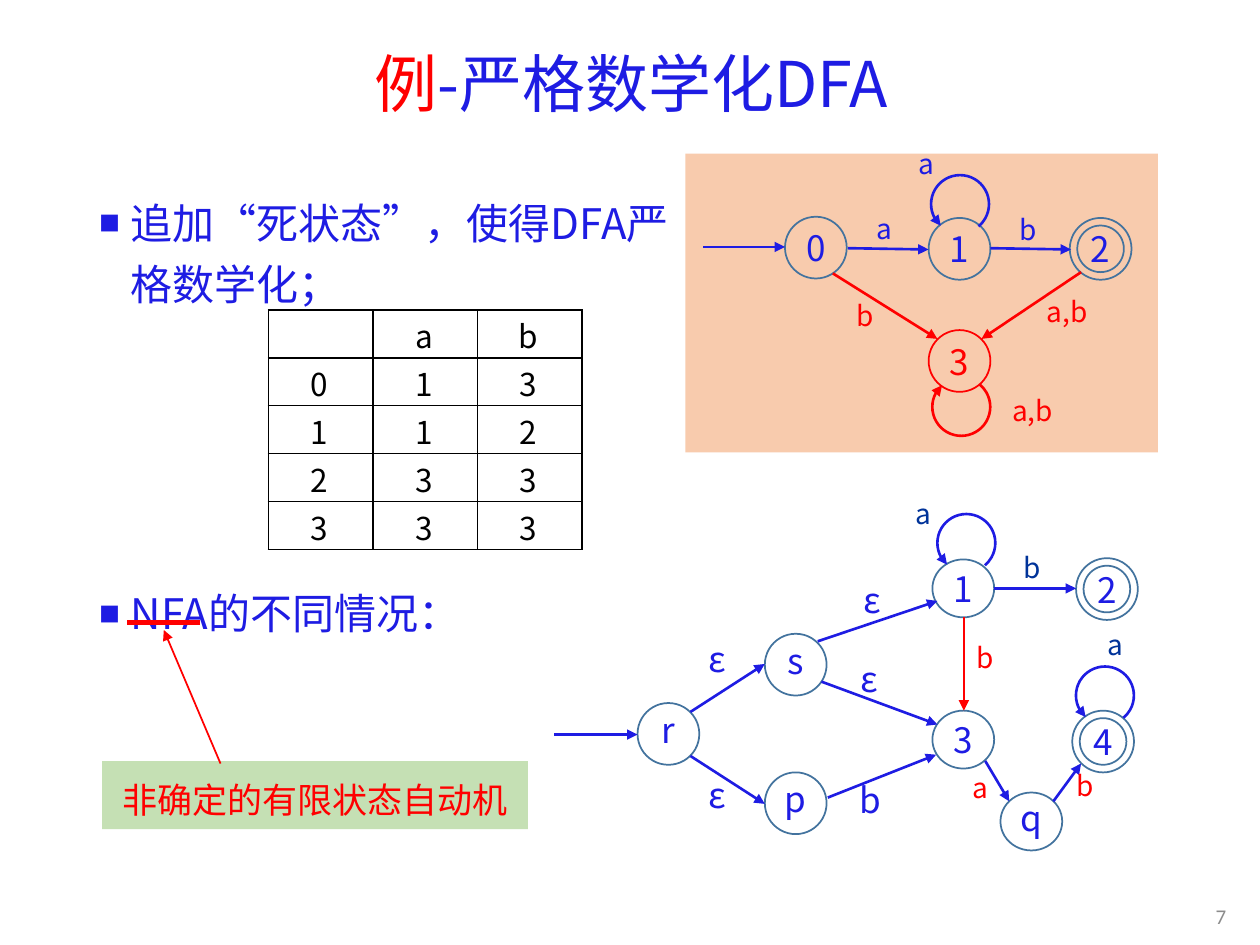
from lxml import etree
from pptx import Presentation
from pptx.dml.color import RGBColor
from pptx.enum import shapes, text
from pptx.oxml import ns
from pptx import util as u

SCALE = 9144
SANS = "Noto Sans CJK SC"
TITLE_FONT = "Noto Sans CJK JP"
COLORS = {
    "blue": "1E1CE3",
    "red": "FF0000",
    "navy": "003399",
    "ring": "43739E",
    "peach": "F8CBAD",
    "green": "C5E0B4",
    "gray": "8C8C8C",
    "black": "000000",
}


def px(*lengths):
    return [u.Emu(length * SCALE) for length in lengths]


def color(name):
    return RGBColor.from_string(COLORS[name])


def add_element(parent, tag, **attributes):
    return etree.SubElement(parent, ns.qn(tag), attributes)


def add_span(para, words, size, tint, font=SANS):
    span = para.add_run()
    span.text = words
    span.font.size = u.Pt(size)
    span.font.name = font
    span.font.color.rgb = color(tint)
    add_element(span._r.get_or_add_rPr(), "a:ea", typeface=font)


def set_margins(frame, left, top, right, bottom):
    (frame.margin_left, frame.margin_top,
     frame.margin_right, frame.margin_bottom) = px(left, top, right, bottom)


def write_line(shape, words, size, tint, align=text.PP_ALIGN.CENTER, font=SANS):
    frame = shape.text_frame
    frame.word_wrap = False
    frame.vertical_anchor = text.MSO_ANCHOR.MIDDLE
    para = frame.paragraphs[0]
    para.alignment = align
    add_span(para, words, size, tint, font)
    return para


def add_outline(page, kind, box, tint="ring", weight=1):
    shape = page.shapes.add_shape(kind, *px(*box))
    shape.shadow.inherit = False
    shape.fill.background()
    shape.line.color.rgb = color(tint)
    shape.line.width = u.Pt(weight)
    return shape


def add_panel(page, box, tint):
    panel = page.shapes.add_shape(shapes.MSO_SHAPE.RECTANGLE, *px(*box))
    panel.shadow.inherit = False
    panel.fill.solid()
    panel.fill.fore_color.rgb = color(tint)
    panel.line.fill.background()
    return panel


def add_line(page, start, end, tint="blue", weight=1.5, arrow=True):
    line = page.shapes.add_connector(
        shapes.MSO_CONNECTOR.STRAIGHT, *px(*start, *end))
    line.line.color.rgb = color(tint)
    line.line.width = u.Pt(weight)
    if arrow:
        add_element(line.line._get_or_add_ln(), "a:tailEnd", type="triangle")
    add_element(line._element.spPr, "a:effectLst")


def add_state(page, box, name, tint="blue", ring="ring", accepting=False, lift=5):
    left, top, width, height = box
    circle = add_outline(page, shapes.MSO_SHAPE.OVAL, box, ring)
    write_line(circle, name, 20, tint)
    set_margins(circle.text_frame, 10, 5, 10, lift)
    if accepting:
        inner = (left + 6, top + 6, width - 12, height - 12)
        add_outline(page, shapes.MSO_SHAPE.OVAL, inner, ring)


def add_loop(page, left, top, tint="blue", below=False):
    loop = add_outline(page, shapes.MSO_SHAPE.ARC, (left, top, 46, 46), tint, 1.5)
    loop.adjustments[0] = 79
    loop.adjustments[1] = 30.15
    add_element(loop.line._get_or_add_ln(), "a:headEnd", type="triangle")
    if below:
        loop._element.spPr.xfrm.set("flipV", "1")


def add_label(page, box, words, size=16, tint="blue"):
    label = page.shapes.add_textbox(*px(*box))
    write_line(label, words, size, tint)


def draw_automaton(page, box, states, arrows, loops, labels):
    x, y = box[:2]
    for (left, top, height), name, options in states:
        add_state(page, (x + left, y + top, 49, height), name, **options)
    for x1, y1, x2, y2, tint in arrows:
        add_line(page, (x + x1, y + y1), (x + x2, y + y2), tint)
    for left, top, tint, below in loops:
        add_loop(page, x + left, y + top, tint, below)
    for (left, top, width, height), words, size, tint in labels:
        add_label(page, (x + left, y + top, width, height), words, size, tint)


def draw_strict_dfa(page, box):
    add_panel(page, box, "peach")
    states = [
        ((79, 50, 49), "0", {}),
        ((193, 51, 49), "1", {}),
        ((305, 51, 49), "2", {"accepting": True}),
        ((193, 140, 49), "3", {"tint": "red", "ring": "red"}),
    ]
    arrows = [
        (14, 74, 79, 74, "blue"), (129, 75, 193, 76, "blue"),
        (242, 75, 306, 76, "blue"), (117, 95, 200, 147, "red"),
        (314, 94, 235, 147, "red"),
    ]
    loops = [(195, 17, "blue", False), (196, 178, "red", True)]
    labels = [
        ((136, 36, 44, 46), "a", 16, "blue"),
        ((180, 37, 184, 46), "b", 16, "blue"),
        ((99, -15, 184, 46), "a", 16, "blue"),
        ((122, 105, 41, 46), "b", 16, "red"),
        ((211, 102, 184, 46), "a,b", 16, "red"),
        ((240, 180, 71, 47), "a,b", 16, "red"),
    ]
    draw_automaton(page, box, states, arrows, loops, labels)


def draw_nfa(page, box):
    states = [
        ((300, 54, 46), "1", {}),
        ((414, 53, 49), "2", {"accepting": True}),
        ((300, 174, 46), "3", {}),
        ((411, 174, 49), "4", {"accepting": True}),
        ((167, 113, 49), "s", {"lift": 12}),
        ((167, 223, 49), "p", {"lift": 12}),
        ((66, 168, 49), "r", {"lift": 12}),
        ((354, 239, 46), "q", {"lift": 12}),
    ]
    arrows = [
        (0, 193, 66, 193, "blue"), (108, 175, 167, 137, "blue"),
        (108, 210, 167, 248, "blue"), (209, 119, 304, 87, "blue"),
        (212, 151, 304, 185, "blue"), (217, 243, 303, 209, "blue"),
        (349, 77, 414, 77, "blue"), (325, 100, 325, 174, "red"),
        (342, 214, 361, 246, "blue"), (396, 246, 418, 216, "blue"),
    ]
    loops = [(304, 18, "blue", False), (414, 139, "blue", False)]
    marks = [
        (270, 0, "a", 16, "navy"), (356, 43, "b", 16, "navy"),
        (422, 104, "a", 16, "navy"), (319, 114, "b", 16, "red"),
        (315, 217, "a", 16, "red"), (398, 216, "b", 16, "red"),
        (229, 68, "ε", 20, "blue"), (227, 131, "ε", 20, "blue"),
        (106, 115, "ε", 20, "blue"), (106, 223, "ε", 20, "blue"),
        (228, 227, "b", 20, "blue"),
    ]
    labels = [((left, top, 46, 35), *rest) for left, top, *rest in marks]
    draw_automaton(page, box, states, arrows, loops, labels)


def draw_title(page, box):
    title = page.shapes.add_textbox(*px(*box))
    para = write_line(title, "例", 36, "red", font=TITLE_FONT)
    para.line_spacing = 0.9
    add_span(para, "-严格数学化DFA", 36, "blue", TITLE_FONT)


def draw_points(page, box):
    frame = page.shapes.add_textbox(*px(*box)).text_frame
    frame.word_wrap = True
    set_margins(frame, 10, 9, 10, 5)
    points = [("追加“死状态”，使得DFA严格数学化；", 0), ("NFA的不同情况：", 147)]
    for index, (words, gap) in enumerate(points):
        para = frame.add_paragraph() if index else frame.paragraphs[0]
        para.line_spacing = u.Pt(35)
        para.space_before = u.Pt(gap)
        para.space_after = u.Pt(6)
        properties = para._p.get_or_add_pPr()
        properties.set("marL", str(25 * SCALE))
        properties.set("indent", str(-25 * SCALE))
        add_element(properties, "a:buSzPct", val="50000")
        add_element(properties, "a:buFont", typeface=SANS)
        add_element(properties, "a:buChar", char="■")
        add_span(para, words, 24, "blue")


def draw_transitions(page, box):
    rows = [" ab", "013", "112", "233", "333"]
    table_frame = page.shapes.add_table(len(rows), 3, *px(*box))
    table = table_frame.table
    table.first_row = table.horz_banding = False
    for row, values in enumerate(rows):
        for column, value in enumerate(values):
            cell = table.cell(row, column)
            set_margins(cell, 2, 2, 4, 2)
            properties = cell._tc.get_or_add_tcPr()
            for side in "LRTB":
                border = add_element(properties, f"a:ln{side}", w="12700")
                fill = add_element(border, "a:solidFill")
                add_element(fill, "a:srgbClr", val=COLORS["black"])
            cell.fill.background()
            if value.strip():
                para = cell.text_frame.paragraphs[0]
                para.alignment = text.PP_ALIGN.CENTER
                add_span(para, value, 18, "black")


def draw_nfa_note(page, box):
    left, top = box[:2]
    note = add_panel(page, box, "green")
    para = write_line(note, "非确定的有限状态自动机", 20, "red")
    para.line_spacing = u.Pt(35)
    set_margins(note.text_frame, 10, 4, 10, 12)
    add_line(page, (left + 20, top - 110), (left + 78, top - 110), "red", 3, False)
    add_line(page, (left + 94, top + 2), (left + 49, top - 104), "red", 1)


def draw_page_number(page, box):
    number = page.shapes.add_textbox(*px(*box))
    write_line(number, "7", 12, "gray", text.PP_ALIGN.RIGHT, "Calibri")


def main():
    deck = Presentation()
    deck.slide_width, deck.slide_height = px(1000, 750)
    page = deck.slides.add_slide(deck.slide_layouts[6])
    draw_nfa(page, (440, 390, 463, 285))
    draw_title(page, (70, 27, 862, 85))
    draw_points(page, (69, 139, 480, 361))
    draw_page_number(page, (938, 707, 45, 40))
    draw_strict_dfa(page, (544, 122, 375, 237))
    draw_transitions(page, (213, 246, 249, 190))
    draw_nfa_note(page, (81, 604, 338, 54))
    deck.save("out.pptx")


if __name__ == "__main__":
    main()
